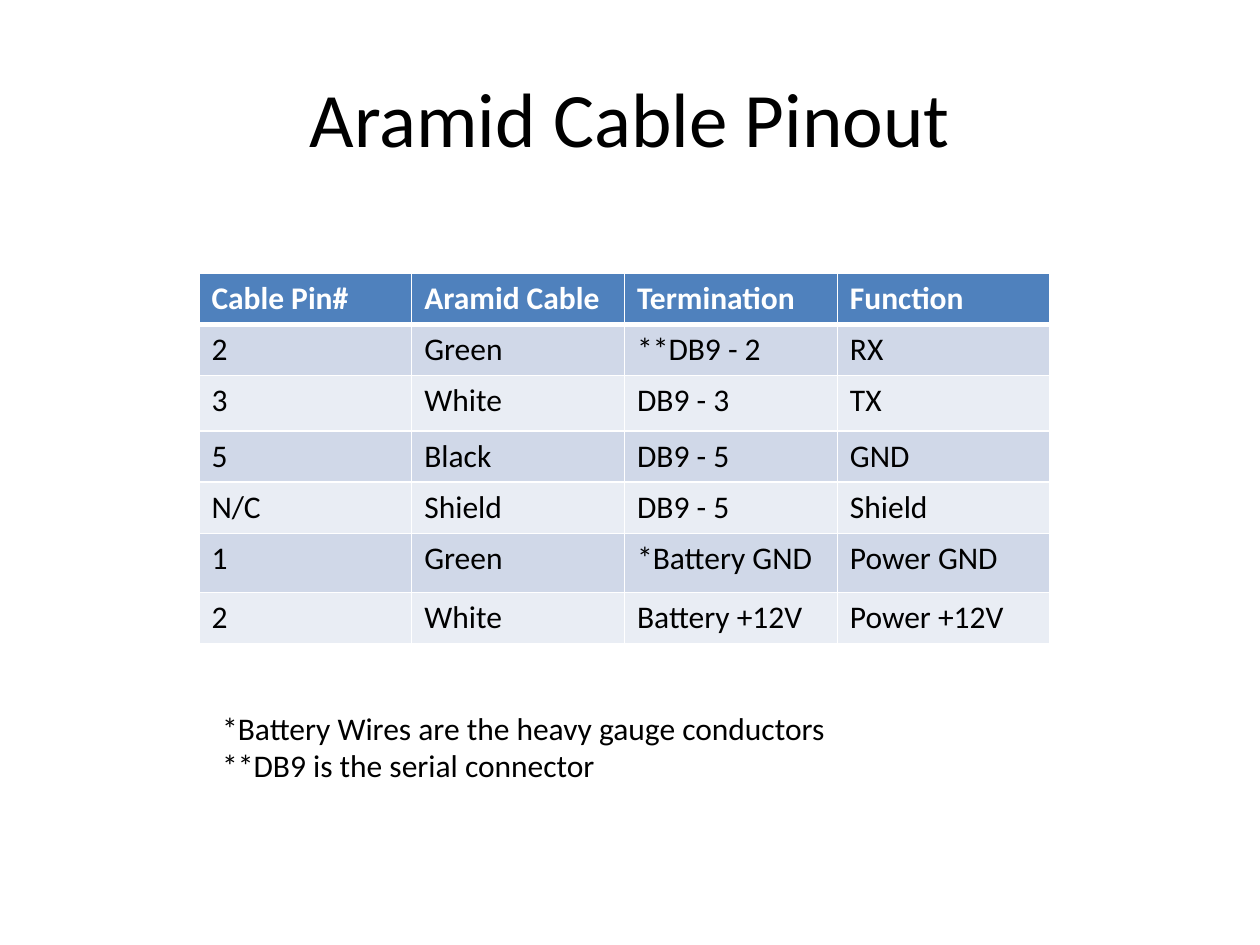
"""Build the cable pinout slide with its table and footnotes."""
from dataclasses import dataclass

from lxml import etree
from pptx import Presentation
from pptx.dml.color import RGBColor
from pptx.enum.text import MSO_ANCHOR, PP_ALIGN
from pptx.oxml.ns import qn
from pptx.util import Cm, Pt

LEFT, CENTER = PP_ALIGN.LEFT, PP_ALIGN.CENTER
TOP, MIDDLE = MSO_ANCHOR.TOP, MSO_ANCHOR.MIDDLE


@dataclass(frozen=True)
class Theme:
    font: str = "Calibri"
    ink: str = "000000"
    paper: str = "FFFFFF"
    header: str = "4F81BD"
    bands: tuple[str, str] = ("D0D8E8", "E9EDF4")
    title_size: int = 44
    body_size: int = 18
    rule: int = 1
    header_rule: int = 3


@dataclass(frozen=True)
class Pin:
    number: str
    wire: str
    termination: str
    function: str
    height: float = 1.03

    def texts(self) -> tuple[str, ...]:
        return self.number, self.wire, self.termination, self.function


@dataclass(frozen=True)
class TextBlock:
    text: str
    left: float
    top: float
    width: float
    height: float
    size: int
    align: PP_ALIGN = LEFT
    anchor: MSO_ANCHOR = TOP
    wrap: bool = True


THEME = Theme()
TABLE_LEFT, TABLE_TOP, COLUMN_WIDTH = 4.01, 5.51, 4.29
PINS = [
    Pin("Cable Pin#", "Aramid Cable", "Termination", "Function"),
    Pin("2", "Green", "**DB9 - 2", "RX"),
    Pin("3", "White", "DB9 - 3", "TX", 1.12),
    Pin("5", "Black", "DB9 - 5", "GND"),
    Pin("N/C", "Shield", "DB9 - 5", "Shield"),
    Pin("1", "Green", "*Battery GND", "Power GND", 1.19),
    Pin("2", "White", "Battery +12V", "Power +12V"),
]
TEXT_BLOCKS = [
    TextBlock("Aramid Cable Pinout", 1.27, 0.76, 22.86, 3.18,
              THEME.title_size, CENTER, MIDDLE),
    TextBlock("*Battery Wires are the heavy gauge conductors\n"
              "**DB9 is the serial connector",
              4.23, 14.16, 12.83, 1.8, THEME.body_size, wrap=False),
]


def format_text(frame, size: int, color: str, bold: bool = False,
                align: PP_ALIGN = LEFT) -> None:
    for paragraph in frame.paragraphs:
        paragraph.alignment = align
        for span in paragraph.runs:
            span.font.name = THEME.font
            span.font.size = Pt(size)
            span.font.bold = bold
            span.font.color.rgb = RGBColor.from_string(color)


def add_text(page, block: TextBlock) -> None:
    box = page.shapes.add_textbox(Cm(block.left), Cm(block.top),
                                  Cm(block.width), Cm(block.height))
    frame = box.text_frame
    frame.word_wrap = block.wrap
    frame.vertical_anchor = block.anchor
    frame.text = block.text
    format_text(frame, block.size, THEME.ink, align=block.align)


def add_borders(cell, top: int, bottom: int) -> None:
    properties = cell._tc.get_or_add_tcPr()
    widths = {"L": THEME.rule, "R": THEME.rule, "T": top, "B": bottom}
    for side, width in widths.items():
        line = etree.SubElement(properties, qn(f"a:ln{side}"), w=str(Pt(width)))
        fill = etree.SubElement(line, qn("a:solidFill"))
        etree.SubElement(fill, qn("a:srgbClr"), val=THEME.paper)


def add_pin_table(page, pins: list[Pin]) -> None:
    columns = len(pins[0].texts())
    table = page.shapes.add_table(
        len(pins), columns, Cm(TABLE_LEFT), Cm(TABLE_TOP),
        Cm(COLUMN_WIDTH * columns), Cm(sum(pin.height for pin in pins))).table
    for column in table.columns:
        column.width = Cm(COLUMN_WIDTH)
    for index, pin in enumerate(pins):
        is_header = index == 0
        table.rows[index].height = Cm(pin.height)
        fill = THEME.header if is_header else THEME.bands[(index - 1) % 2]
        color = THEME.paper if is_header else THEME.ink
        top = THEME.header_rule if index == 1 else THEME.rule
        bottom = THEME.header_rule if is_header else THEME.rule
        for cell, text in zip(table.rows[index].cells, pin.texts()):
            cell.text_frame.text = text
            format_text(cell.text_frame, THEME.body_size, color, is_header)
            add_borders(cell, top, bottom)
            cell.fill.solid()
            cell.fill.fore_color.rgb = RGBColor.from_string(fill)


def main() -> None:
    deck = Presentation()
    deck.slide_width, deck.slide_height = Cm(25.4), Cm(19.05)
    page = deck.slides.add_slide(deck.slide_layouts[6])
    add_pin_table(page, PINS)
    for block in TEXT_BLOCKS:
        add_text(page, block)
    deck.save("out.pptx")


main()
